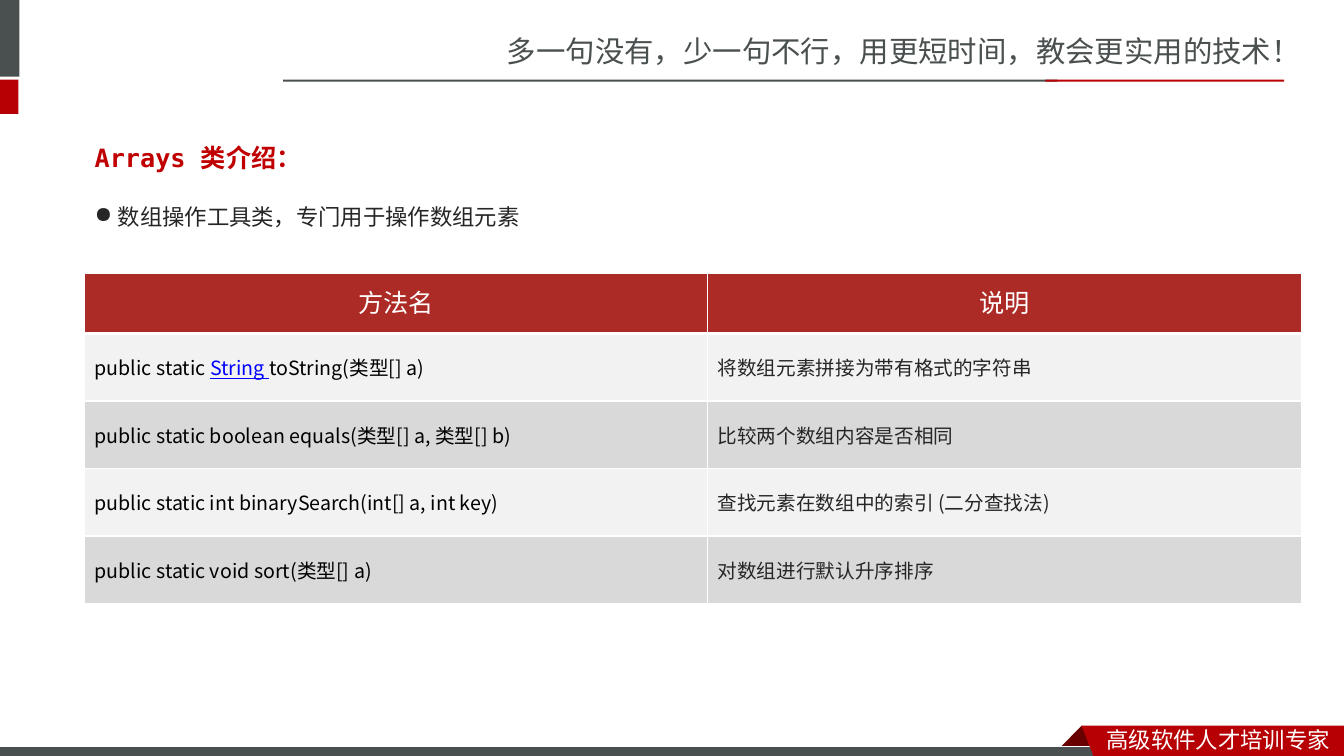
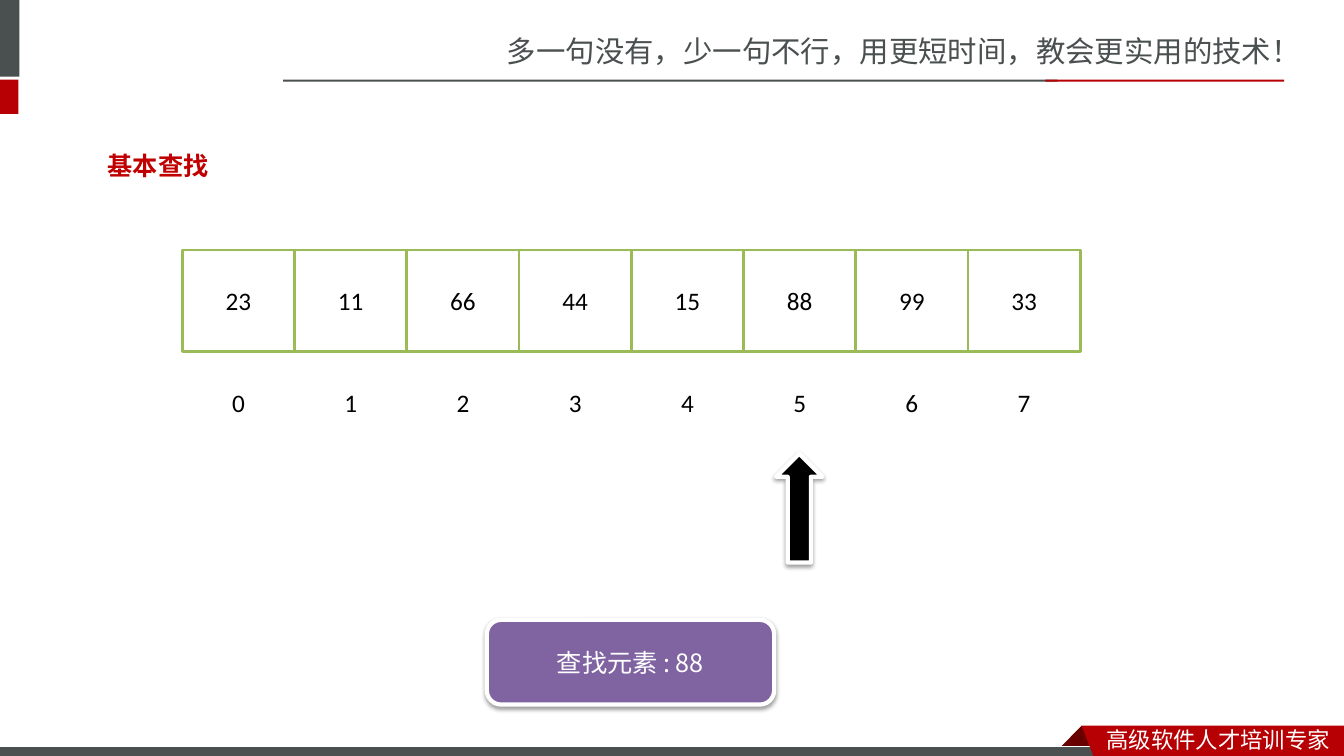
import lxml.etree
import pptx
import pptx.dml.color
import pptx.enum.shapes
import pptx.enum.text
import pptx.oxml.ns
import pptx.util

# The slide is a grid of 160 columns by 90 rows of square units
COLS, ROWS = 160, 90
UNIT = pptx.util.Inches(7.5) / ROWS

GREY, RED, DARK_RED = "49504F", "B60004", "680000"
HEADING, HEADER, INK, BLACK, WHITE = "C00000", "AD2B26", "262626", "000000", "FFFFFF"
LIGHT, MID, GREEN, PURPLE, LINK = "F2F2F2", "D9D9D9", "9BBB59", "8064A2", "0000FF"
SC, JP, MONO, NUMERIC = "Noto Sans CJK SC", "Noto Sans CJK JP", "DejaVu Sans Mono", "Calibri"

SHAPE = pptx.enum.shapes.MSO_SHAPE
CENTER = pptx.enum.text.PP_ALIGN.CENTER
MIDDLE = pptx.enum.text.MSO_ANCHOR.MIDDLE


def u(n):
    return pptx.util.Emu(round(n * UNIT))


def grid(*lengths):
    return [u(n) for n in lengths]


def rgb(color):
    return pptx.dml.color.RGBColor.from_string(color)


def sub(parent, tag, **attrs):
    return lxml.etree.SubElement(parent, pptx.oxml.ns.qn(tag), attrs)


# Text
def write(tf, text, size=18, font=JP, color=BLACK, bold=False, link=None,
          align=None, spacing=None):
    """Write one paragraph; the word given as link is blue and underlined."""
    p = tf.paragraphs[0]
    if align is not None:
        p.alignment = align
    if spacing is not None:
        p.line_spacing = spacing
    before, word, after = text.partition(link) if link else (text, "", "")
    for part in filter(None, (before, word, after)):
        r = p.add_run()
        r.text = part
        r.font.size = pptx.util.Pt(size)
        r.font.name = font
        r.font.bold = bold
        r.font.underline = part == link
        r.font.color.rgb = rgb(LINK if part == link else color)
        east_asian = font if font in (SC, JP) else SC
        sub(r.font._element, "a:ea", typeface=east_asian)
    return p


def add_text(s, box, text, **fmt):
    tf = s.shapes.add_textbox(*grid(*box)).text_frame
    tf.word_wrap = True
    tf.auto_size = pptx.enum.text.MSO_AUTO_SIZE.SHAPE_TO_FIT_TEXT
    return write(tf, text, **fmt)


def add_bullet(s, box, text, **fmt):
    pPr = add_text(s, box, text, **fmt)._p.get_or_add_pPr()
    indent = pptx.util.Inches(0.23)
    pPr.set("marL", str(indent))
    pPr.set("indent", str(-indent))
    sub(pPr, "a:buChar", char="●")


# Shapes
def paint(sp, fill, line=None, width=1):
    sp.shadow.inherit = False
    sp.fill.solid()
    sp.fill.fore_color.rgb = rgb(fill)
    if line:
        sp.line.color.rgb = rgb(line)
        sp.line.width = pptx.util.Pt(width)
    else:
        sp.line.fill.background()
    return sp


def add_box(s, box, fill, line=None, width=1, kind=SHAPE.RECTANGLE, text=None, **fmt):
    sp = paint(s.shapes.add_shape(kind, *grid(*box)), fill, line, width)
    if text:
        sp.text_frame.vertical_anchor = MIDDLE
        write(sp.text_frame, text, align=CENTER, **fmt)
    return sp


def add_raised(s, box, fill, **kwargs):
    """A shape with a thick white edge and a soft shadow below it."""
    sp = add_box(s, box, fill, line=WHITE, width=3, **kwargs)
    effects = sp._element.spPr.find(pptx.oxml.ns.qn("a:effectLst"))
    shadow = sub(effects, "a:outerShdw", blurRad="40000", dist="20000",
                 dir="5400000", rotWithShape="0")
    sub(sub(shadow, "a:srgbClr", val=BLACK), "a:alpha", val="38000")


def add_polygon(s, points, fill):
    start, *rest = [grid(*point) for point in points]
    builder = s.shapes.build_freeform(*start, scale=1.0)
    builder.add_line_segments(rest, close=True)
    paint(builder.convert_to_shape(), fill)


# Table
def set_borders(cell, **widths):
    tcPr = cell._tc.get_or_add_tcPr()
    for i, side in enumerate("LRTB"):
        width = pptx.util.Pt(widths.get(side, 1))
        ln = sub(tcPr, "a:ln" + side, w=str(width))
        sub(sub(ln, "a:solidFill"), "a:srgbClr", val=WHITE)
        tcPr.insert(i, ln)


def add_methods_table(s, left, top, widths, heights, rows):
    frame = s.shapes.add_table(len(rows), len(widths),
                               *grid(left, top, sum(widths), sum(heights)))
    table = frame.table
    table.first_row = table.horz_banding = False
    for column, width in zip(table.columns, widths):
        column.width = u(width)
    for i, (row, height) in enumerate(zip(rows, heights)):
        table.rows[i].height = u(height)
        for j, text in enumerate(row):
            cell = table.cell(i, j)
            cell.vertical_anchor = MIDDLE
            cell.fill.solid()
            if i == 0:
                cell.fill.fore_color.rgb = rgb(HEADER)
                set_borders(cell, B=3)
                write(cell.text_frame, text, color=WHITE, align=CENTER,
                      spacing=pptx.util.Pt(24))
            else:
                cell.fill.fore_color.rgb = rgb(LIGHT if i % 2 else MID)
                set_borders(cell, T=3 if i == 1 else 1)
                write(cell.text_frame, text, size=14, color=INK if j else BLACK,
                      link=None if j else "String ")


# Shared frame
def add_framed_slide(prs):
    s = prs.slides.add_slide(prs.slide_layouts[6])
    add_text(s, (59.16, 3.36, 100.84, 5.64), "多一句没有，少一句不行，用更短时间，教会更实用的技术！",
             size=21, font=SC, color=GREY)
    # Side tabs and title rule
    for box, fill in (((-0.7, 0, 3, 9.12), GREY),
                      ((-0.7, 9.48, 2.9, 4.08), RED),
                      ((33.72, 9.48, 92.16, 0.24), GREY),
                      ((124.44, 9.48, 28.44, 0.24), RED)):
        add_box(s, box, fill)
    # Footer bar and folded ribbon
    add_polygon(s, [(128.76, 86.4), (131.4, 89.1), (126.12, 89.1)], DARK_RED)
    add_box(s, (-0.12, 88.92, 132, 1.44), GREY, line=WHITE, width=0.75)
    add_polygon(s, [(128.76, 86.4), (COLS, 86.4), (COLS, 90.48), (130.32, 90.36)], RED)
    add_text(s, (130.56, 85.8, 29.4, 4.44), "高级软件人才培训专家",
             size=16, font=SC, color=WHITE)
    return s


def add_heading(s, left, top, text, spacing=None):
    add_text(s, (left, top, 80, 5), text, font=MONO, color=HEADING,
             bold=True, spacing=spacing)


# Slides
def add_arrays_slide(prs):
    s = add_framed_slide(prs)
    left, widths = 10.08, (74.16, 70.68)
    add_bullet(s, (left, 21.96, sum(widths), 5.64), "数组操作工具类，专门用于操作数组元素",
               size=16, color=INK, spacing=1.5)
    add_heading(s, left, 14.52, "Arrays 类介绍：", spacing=1.5)
    rows = [
        ("方法名", "说明"),
        ("public static String toString(类型[] a)", "将数组元素拼接为带有格式的字符串"),
        ("public static boolean equals(类型[] a, 类型[] b)", "比较两个数组内容是否相同"),
        ("public static int binarySearch(int[] a, int key)", "查找元素在数组中的索引 (二分查找法)"),
        ("public static void sort(类型[] a)", "对数组进行默认升序排序"),
    ]
    add_methods_table(s, left, 32.5, widths, [7.2] + [8.04] * 4, rows)


def add_search_slide(prs):
    s = add_framed_slide(prs)
    add_heading(s, 11.64, 17.28, "基本查找")
    # Array cells with their indexes underneath
    left, top, width, height = 21.72, 29.76, 13.36, 12.1
    for i, value in enumerate((23, 11, 66, 44, 15, 88, 99, 33)):
        x = left + i * width
        add_box(s, (x, top + height, width, height), WHITE, text=str(i), font=NUMERIC)
        add_box(s, (x, top, width, height), WHITE, line=GREEN, width=2,
                text=str(value), font=NUMERIC)
    # Search target and pointer
    add_raised(s, (57.96, 73.8, 34.2, 10.08), PURPLE, kind=SHAPE.ROUNDED_RECTANGLE,
               text="查找元素 : 88", color=WHITE)
    add_raised(s, (92.4, 54, 5.52, 12.96), BLACK, kind=SHAPE.UP_ARROW)


def main():
    prs = pptx.Presentation()
    prs.slide_width, prs.slide_height = grid(COLS, ROWS)
    add_arrays_slide(prs)
    add_search_slide(prs)
    prs.save("out.pptx")


if __name__ == "__main__":
    main()
